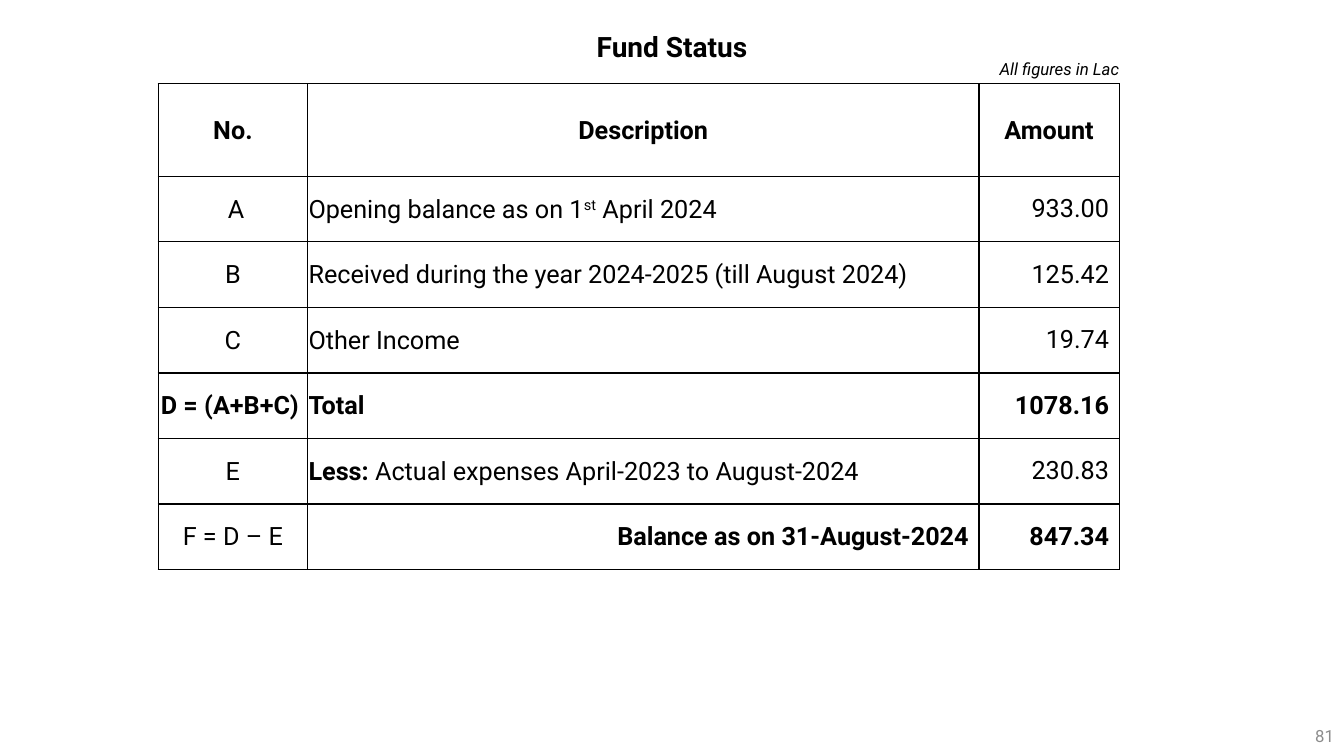
from lxml import etree
from pptx import Presentation
from pptx.dml.color import RGBColor
from pptx.enum.text import MSO_ANCHOR, PP_ALIGN
from pptx.oxml.ns import qn
from pptx.util import Inches, Pt

LEFT, CENTER, RIGHT = PP_ALIGN.LEFT, PP_ALIGN.CENTER, PP_ALIGN.RIGHT
TOP, MIDDLE = MSO_ANCHOR.TOP, MSO_ANCHOR.MIDDLE

COLORS = {"ink": "000000", "page_number": "8C8C8C"}
FONT = "Roboto"
BORDER_SIDES = ("a:lnL", "a:lnR", "a:lnT", "a:lnB")
TIGHT_MARGINS = {"margin_left": 0.01, "margin_right": 0.01,
                 "margin_top": 0.01, "margin_bottom": 0}
BOLD = {"bold": True}

COLUMN_WIDTHS = (1.48, 6.66, 1.39)
HEADER_HEIGHT, ROW_HEIGHT = 0.92, 0.65
HEADINGS = ("No.", "Description", "Amount")

# Each row: number, description spans, amount, and whether each cell is bold
FUND_ROWS = (
    ("\u00a0A".replace("\u00a0", " "),
     [("Opening balance as on 1", {}), ("st", {"raised": True}), (" April 2024", {})],
     "933.00", {}),
    ("B", [("Received during the year 2024-2025 (till August 2024)", {})], "125.42", {}),
    ("C", [("Other Income", {})], "19.74", {}),
    ("D = (A+B+C) ", [("Total", BOLD)], "1078.16", BOLD),
    ("E", [("Less:", BOLD), (" Actual expenses April-2023 to August-2024", {})],
     "230.83", {}),
    ("F = D – E", [("Balance as on 31-August-2024", BOLD)], "847.34", BOLD),
)
TOTAL_ROW, BALANCE_ROW = 4, 6


def write_spans(frame, spans, align, size, color="ink"):
    para = frame.paragraphs[0]
    para.alignment = align
    for text, style in spans:
        span = para.add_run()
        span.text = text
        formats = {"name": FONT, "size": Pt(size), "bold": False, **style}
        raised = formats.pop("raised", False)
        for name, value in formats.items():
            setattr(span.font, name, value)
        span.font.color.rgb = RGBColor.from_string(COLORS[color])
        if raised:
            span._r.get_or_add_rPr().set("baseline", "30000")


def add_label(page, place, text, align, size, style, color="ink", anchor=TOP, wrap=True):
    box = page.shapes.add_textbox(*map(Inches, place))
    frame = box.text_frame
    frame.word_wrap = wrap
    frame.vertical_anchor = anchor
    write_spans(frame, [(text, style)], align, size, color)


def draw_borders(cell):
    properties = cell._tc.get_or_add_tcPr()
    for position, side in enumerate(BORDER_SIDES):
        line = etree.Element(qn(side), w=str(Pt(1)))
        fill = etree.SubElement(line, qn("a:solidFill"))
        etree.SubElement(fill, qn("a:srgbClr"), val=COLORS["ink"])
        properties.insert(position, line)


def fill_cell(cell, spans, align, tight):
    cell.vertical_anchor = MIDDLE
    if tight:
        for name, value in TIGHT_MARGINS.items():
            setattr(cell, name, Inches(value))
    cell.fill.background()
    draw_borders(cell)
    write_spans(cell.text_frame, spans, align, 18)


def add_fund_table(page, left, top):
    heights = [HEADER_HEIGHT] + [ROW_HEIGHT] * len(FUND_ROWS)
    place = (left, top, sum(COLUMN_WIDTHS), sum(heights))
    table = page.shapes.add_table(
        len(heights), len(COLUMN_WIDTHS), *map(Inches, place)).table
    table.first_row = table.horz_banding = False
    for column, width in zip(table.columns, COLUMN_WIDTHS):
        column.width = Inches(width)
    for row, height in zip(table.rows, heights):
        row.height = Inches(height)

    for column, heading in enumerate(HEADINGS):
        fill_cell(table.cell(0, column), [(heading, BOLD)], CENTER, True)
    for row, (number, description, amount, style) in enumerate(FUND_ROWS, start=1):
        is_balance = row == BALANCE_ROW
        number_style = BOLD if row == TOTAL_ROW else {}
        fill_cell(table.cell(row, 0), [(number, number_style)], CENTER, True)
        fill_cell(table.cell(row, 1), description,
                  RIGHT if is_balance else LEFT, not is_balance)
        fill_cell(table.cell(row, 2), [(amount, style)], RIGHT, False)


def main():
    deck = Presentation()
    deck.slide_width, deck.slide_height = Inches(13.33), Inches(7.5)
    page = deck.slides.add_slide(deck.slide_layouts[6])
    add_fund_table(page, 1.57, 0.83)
    add_label(page, (9.71, 0.53, 1.49, 0.3), "All figures in Lac", RIGHT, 12,
              {"italic": True}, wrap=False)
    add_label(page, (5.49, 0.24, 2.35, 0.44), "Fund Status", CENTER, 20, BOLD)
    add_label(page, (10.33, 7.1, 3, 0.4), "81", RIGHT, 12, {},
              color="page_number", anchor=MIDDLE)
    deck.save("out.pptx")


if __name__ == "__main__":
    main()
